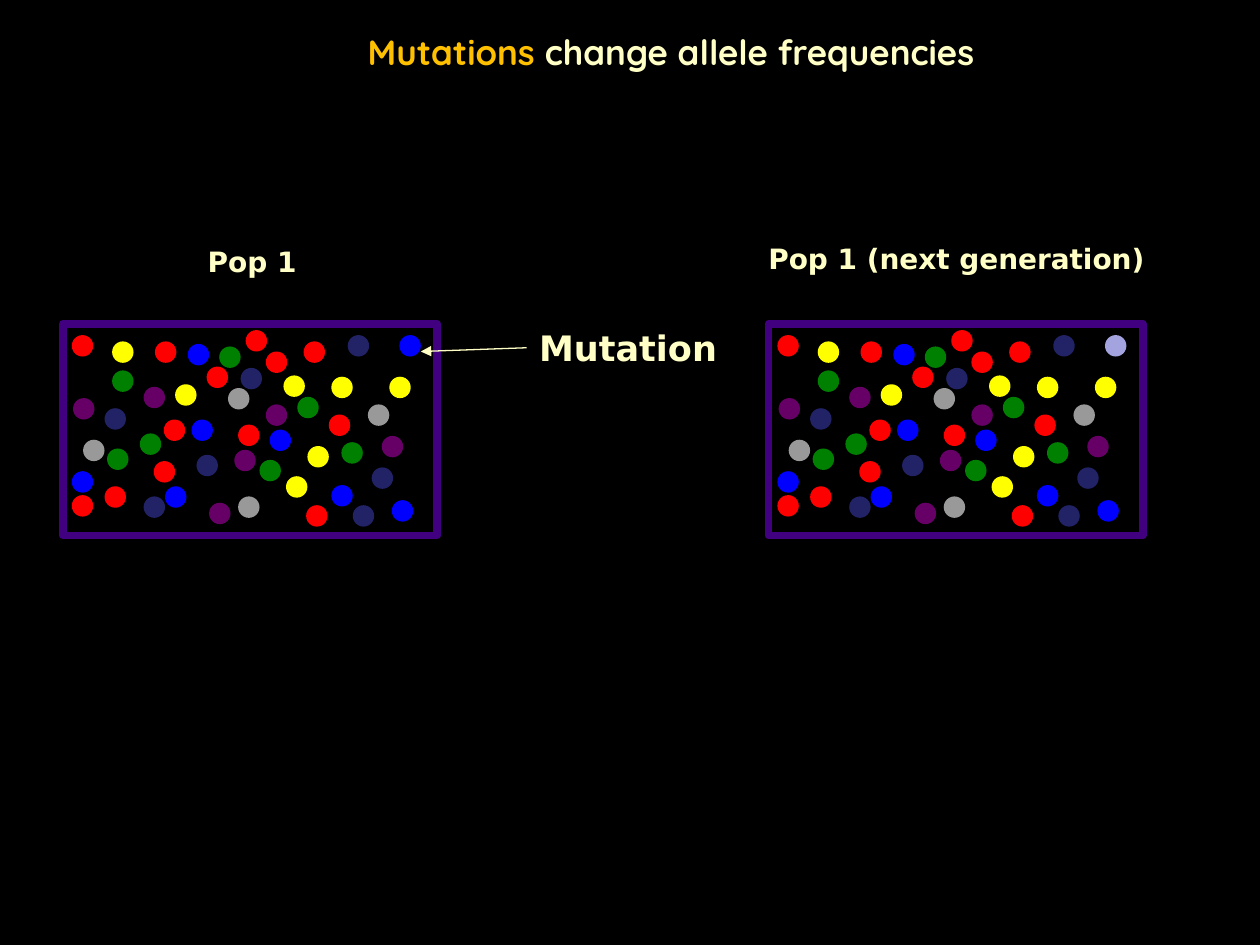
from lxml.etree import SubElement
from pptx import Presentation
from pptx.dml.color import RGBColor
from pptx.enum.shapes import MSO_CONNECTOR, MSO_SHAPE
from pptx.enum.text import PP_ALIGN
from pptx.oxml.ns import qn
from pptx.util import Inches, Pt

BLACK = RGBColor(0x00, 0x00, 0x00)
CREAM = RGBColor(0xFF, 0xFF, 0xC6)
GOLD = RGBColor(0xFF, 0xC0, 0x00)
INDIGO = RGBColor(0x40, 0x00, 0x80)
RED = RGBColor(0xFF, 0x00, 0x00)
YELLOW = RGBColor(0xFF, 0xFF, 0x00)
GREEN = RGBColor(0x00, 0x80, 0x00)
BLUE = RGBColor(0x00, 0x00, 0xFF)
NAVY = RGBColor(0x22, 0x22, 0x67)
PURPLE = RGBColor(0x66, 0x00, 0x66)
GREY = RGBColor(0x99, 0x99, 0x99)
LILAC = RGBColor(0xA3, 0xA3, 0xE0)

# The grid has 100 columns and 75 rows
COLUMNS, ROWS = 100, 75
CELL = Inches(0.1)
FRAME_TOP, FRAME_WIDTH, FRAME_HEIGHT = 25.7, 29.7, 16.8
ALLELE_SIZE = 1.7

# Column and row of each allele, counted from the corner of its frame
ALLELES = {
    RED: [(11.4, 3.4), (14.5, 0.5), (16.1, 2.2), (21.1, 7.2), (0.7, 13.6),
          (7.2, 10.9), (7.3, 1.4), (3.3, 12.9), (19.3, 14.4), (0.7, 0.9),
          (13.9, 8), (19.1, 1.4), (8, 7.6)],
    YELLOW: [(21.3, 4.2), (17.7, 12.1), (19.4, 9.7), (25.9, 4.2), (8.9, 4.8),
             (3.9, 1.4), (17.5, 4.1)],
    GREEN: [(3.9, 3.7), (6.1, 8.7), (18.6, 5.8), (3.5, 9.9), (12.4, 1.8),
            (22.1, 9.4), (15.6, 10.8)],
    BLUE: [(16.4, 8.4), (21.3, 12.8), (10.2, 7.6), (0.7, 11.7), (8.1, 12.9),
           (26.1, 14), (9.9, 1.6)],
    NAVY: [(6.4, 13.7), (24.5, 11.4), (22.6, 0.9), (23, 14.4), (3.3, 6.7),
           (10.6, 10.4), (14.1, 3.5)],
    PURPLE: [(13.6, 10), (6.4, 5), (16.1, 6.4), (11.6, 14.2), (25.3, 8.9),
             (0.8, 5.9)],
    GREY: [(13.1, 5.1), (1.6, 9.2), (13.9, 13.7), (24.2, 6.4)],
}
MUTANT = (26.7, 0.9)


def cells(*counts):
    return [round(count * CELL) for count in counts]


class SlideBuilder:
    title_font = "Quicksand"
    label_font = "DejaVu Sans"
    text_color = CREAM

    def __init__(self, slide):
        self.slide = slide
        slide.background.fill.solid()
        slide.background.fill.fore_color.rgb = BLACK

    def text_box(self, box, size, font):
        frame = self.slide.shapes.add_textbox(*cells(*box)).text_frame
        frame.word_wrap = True
        paragraph = frame.paragraphs[0]
        paragraph.font.size = Pt(size)
        paragraph.font.name = font
        paragraph.font.bold = True
        return frame, paragraph

    def title(self, box, parts):
        frame, paragraph = self.text_box(box, 20, self.title_font)
        frame.margin_left, frame.margin_top = cells(6, 3.8)
        paragraph.alignment = PP_ALIGN.CENTER
        for text, color in parts:
            run = paragraph.add_run()
            run.text = text
            run.font.color.rgb = color

    def label(self, box, text, size):
        _, paragraph = self.text_box(box, size, self.label_font)
        paragraph.add_run().text = text
        paragraph.font.color.rgb = self.text_color

    def frame(self, left):
        border = self.slide.shapes.add_shape(
            MSO_SHAPE.RECTANGLE, *cells(left, FRAME_TOP, FRAME_WIDTH, FRAME_HEIGHT))
        border.shadow.inherit = False
        border.fill.background()
        border.line.color.rgb = INDIGO
        border.line.width = Pt(4.5)

    def allele(self, column, row, color):
        dot = self.slide.shapes.add_shape(
            MSO_SHAPE.OVAL, *cells(column, row, ALLELE_SIZE, ALLELE_SIZE))
        dot.shadow.inherit = False
        dot.fill.solid()
        dot.fill.fore_color.rgb = color
        dot.line.fill.background()

    def population(self, left, mutant_color):
        self.frame(left)
        for color, places in [*ALLELES.items(), (mutant_color, [MUTANT])]:
            for column, row in places:
                self.allele(left + column, FRAME_TOP + row, color)

    def arrow(self, start, end):
        line = self.slide.shapes.add_connector(
            MSO_CONNECTOR.STRAIGHT, *cells(*start, *end))
        line.line.color.rgb = self.text_color
        line.line.width = Pt(0.75)
        SubElement(line.line._get_or_add_ln(), qn("a:tailEnd"), type="triangle")
        SubElement(line._element.spPr, qn("a:effectLst"))


def main():
    deck = Presentation()
    deck.slide_width, deck.slide_height = COLUMNS * CELL, ROWS * CELL
    builder = SlideBuilder(deck.slides.add_slide(deck.slide_layouts[6]))

    # Population before the mutation
    builder.population(5, BLUE)
    builder.label((15.5, 18.9, 21.1, 3.7), "Pop 1", 16)

    builder.title((4.9, -1.4, 91.7, 21.2),
                  [("Mutations ", GOLD), ("change allele frequencies", CREAM)])

    # Next generation, with the mutated allele
    builder.population(61, LILAC)
    builder.label((60, 18.7, 35, 3.7), "Pop 1 (next generation)", 16)

    # Pointer to the allele that mutates
    builder.label((41.8, 25.4, 18.2, 4.4), "Mutation", 20)
    builder.arrow((41.8, 27.6), (33.4, 27.9))

    deck.save("out.pptx")


if __name__ == "__main__":
    main()
